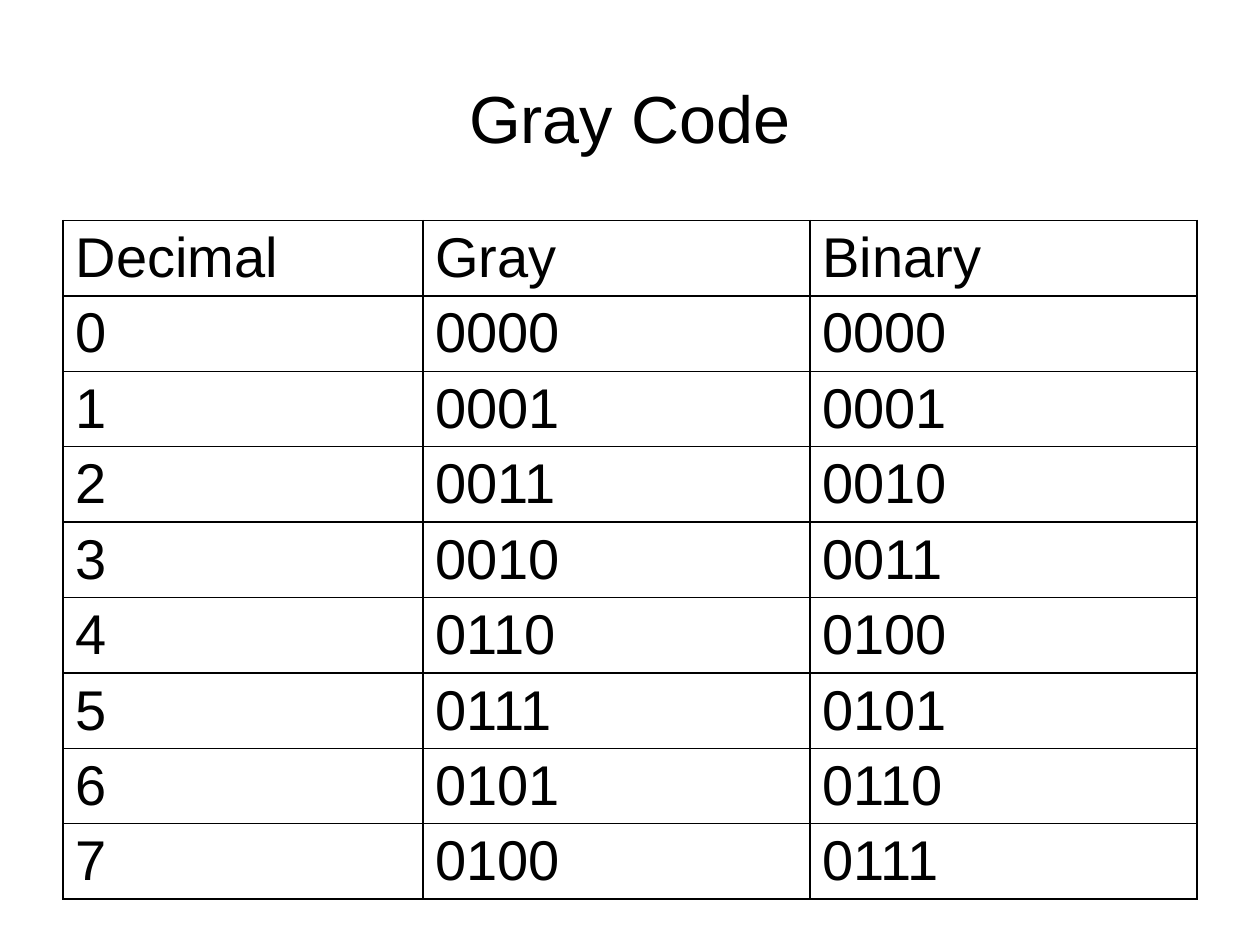
from lxml import etree
from pptx import Presentation
from pptx import util as u
from pptx.dml.color import RGBColor
from pptx.enum import text
from pptx.oxml.ns import qn

Pt = u.Pt
THEME = {
    "ink": RGBColor(0, 0, 0),
    "font": "Arial",
    "title": Pt(38),
    "body": Pt(32),
    "border": Pt(1),
}


def write(para, words, size):
    span = para.add_run()
    span.text = words
    for name, value in {"name": THEME["font"], "size": size}.items():
        setattr(span.font, name, value)
    span.font.color.rgb = THEME["ink"]


def add_borders(cell):
    props = cell._tc.get_or_add_tcPr()
    for position, side in enumerate(("lnL", "lnR", "lnT", "lnB")):
        line = etree.Element(qn(f"a:{side}"), w=str(THEME["border"]))
        fill = etree.SubElement(line, qn("a:solidFill"))
        etree.SubElement(fill, qn("a:srgbClr"), val=str(THEME["ink"]))
        props.insert(position, line)


deck = Presentation()
deck.slide_width, deck.slide_height = Pt(720), Pt(540)
page = deck.slides.add_slide(deck.slide_layouts[6])

box = page.shapes.add_textbox(Pt(36), Pt(21.6), Pt(648), Pt(90))
frame_format = {"word_wrap": True, "vertical_anchor": text.MSO_ANCHOR.MIDDLE}
for name, value in frame_format.items():
    setattr(box.text_frame, name, value)
para = box.text_frame.paragraphs[0]
para.alignment = text.PP_ALIGN.CENTER
write(para, "Gray Code", THEME["title"])

rows = [("Decimal", "Gray", "Binary")]
rows += [(str(n), f"{n ^ n >> 1:04b}", f"{n:04b}") for n in range(8)]
widths = (205.6, 221.2, 221.2)
row_height = 43.1

table = page.shapes.add_table(
    len(rows), len(widths), Pt(36), Pt(126), Pt(sum(widths)), Pt(row_height * len(rows))
).table
for name in ("first_row", "horz_banding"):
    setattr(table, name, False)
for column, width in zip(table.columns, widths):
    column.width = Pt(width)

cell_format = {
    "margin_left": Pt(7.2),
    "margin_right": Pt(7.2),
    "margin_top": Pt(3.6),
    "margin_bottom": Pt(0.8),
}
indent_format = {"marL": Pt(27), "indent": Pt(-27)}
for row, values in zip(table.rows, rows):
    row.height = Pt(row_height)
    for cell, value in zip(row.cells, values):
        for name, setting in cell_format.items():
            setattr(cell, name, setting)
        cell.fill.background()
        add_borders(cell)
        para = cell.text_frame.paragraphs[0]
        for name, setting in indent_format.items():
            para._p.get_or_add_pPr().set(name, str(setting))
        write(para, value, THEME["body"])

deck.save("out.pptx")
